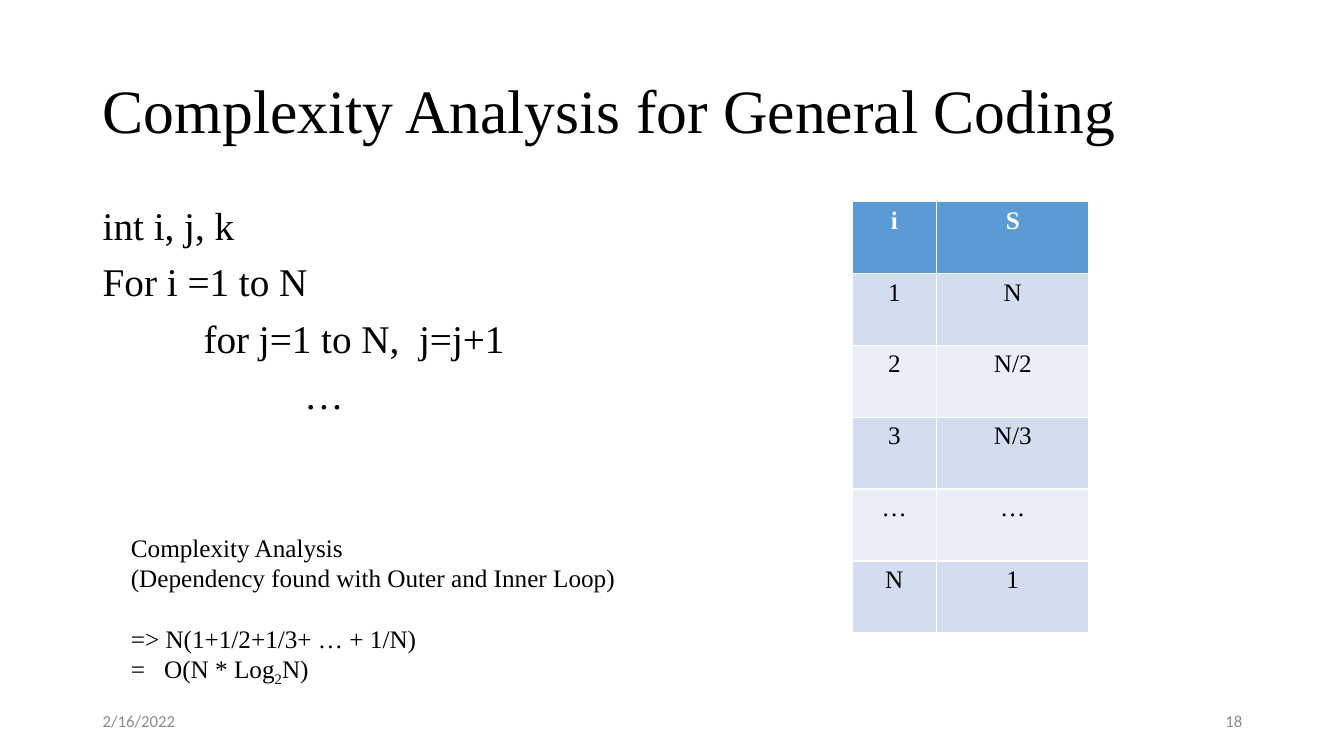
from pptx import Presentation
from pptx.dml.color import RGBColor
from pptx.enum.text import MSO_ANCHOR, PP_ALIGN
from pptx.util import Inches, Pt

TOP, MIDDLE = MSO_ANCHOR.TOP, MSO_ANCHOR.MIDDLE
LEFT, CENTER, RIGHT = PP_ALIGN.LEFT, PP_ALIGN.CENTER, PP_ALIGN.RIGHT
SERIF, SANS = "Times New Roman", "Calibri"


def style(par, size, color="000000", font=SERIF, align=LEFT, bold=False):
    par.alignment = align
    for run in par.runs:
        run.font.size = Pt(size)
        run.font.name = font
        run.font.bold = bold
        run.font.color.rgb = RGBColor.from_string(color)


def add_text(box, text, size, anchor=TOP, **look):
    shape = slide.shapes.add_textbox(*[Inches(n) for n in box])
    frame = shape.text_frame
    frame.word_wrap = True
    frame.vertical_anchor = anchor
    frame.text = text
    for par in frame.paragraphs:
        style(par, size, **look)
    return frame.paragraphs


prs = Presentation()
prs.slide_width, prs.slide_height = Inches(13.33), Inches(7.5)
slide = prs.slides.add_slide(prs.slide_layouts[6])

# Title
title = add_text((0.92, 0.4, 11.5, 1.45),
                 "Complexity Analysis for General Coding", 44, MIDDLE)
title[0].line_spacing = 0.9

# Code lines, each nested level one inch further in
code = [("int i, j, k", 0), ("For i =1 to N", 0),
        ("for j=1 to N,  j=j+1", 1), ("…", 2)]
lines = add_text((0.92, 2, 6.92, 2.87), "\n".join(t for t, _ in code), 28)
for par, (_, depth) in zip(lines, code):
    par.line_spacing = 0.9
    par.space_before = Pt(10)
    par._p.get_or_add_pPr().set("marL", str(Inches(depth)))

# Date and slide number
for left, text, align in [(0.92, "2/16/2022", LEFT), (9.42, "18", RIGHT)]:
    add_text((left, 6.95, 3, 0.4), text, 12, MIDDLE,
             color="8C8C8C", font=SANS, align=align)

# Table of inner loop steps
rows = [("i", "S"), ("1", "N"), ("2", "N/2"), ("3", "N/3"),
        ("…", "…"), ("N", "1")]
table = slide.shapes.add_table(len(rows), 2, Inches(8.45), Inches(2),
                               Inches(2.35), Inches(4.28)).table
for col, width in zip(table.columns, (0.84, 1.51)):
    col.width = Inches(width)
for r, row in enumerate(rows):
    head = r == 0
    fill = "5B9BD5" if head else ("EAEFF7", "D2DEEF")[r % 2]
    for c, text in enumerate(row):
        cell = table.cell(r, c)
        cell.fill.solid()
        cell.fill.fore_color.rgb = RGBColor.from_string(fill)
        cell.text_frame.text = text
        style(cell.text_frame.paragraphs[0], 18,
              "FFFFFF" if head else "000000", align=CENTER, bold=head)

# Result, with a hanging indent after the equals sign
notes = ["Complexity Analysis", "(Dependency found with Outer and Inner Loop)",
         "=> N(1+1/2+1/3+ … + 1/N)", "=\tO(N * Log"]
result = add_text((1.2, 5.23, 7.06, 1.62), "\n".join(notes), 18)
result[2].space_before = Pt(21.6)
last = result[3]
for text in ("2", "N)"):
    last.add_run().text = text
style(last, 18)
last.runs[1].font._element.set("baseline", "-25000")
props = last._p.get_or_add_pPr()
props.set("marL", str(Inches(0.33)))
props.set("indent", str(Inches(-0.33)))

prs.save("out.pptx")
